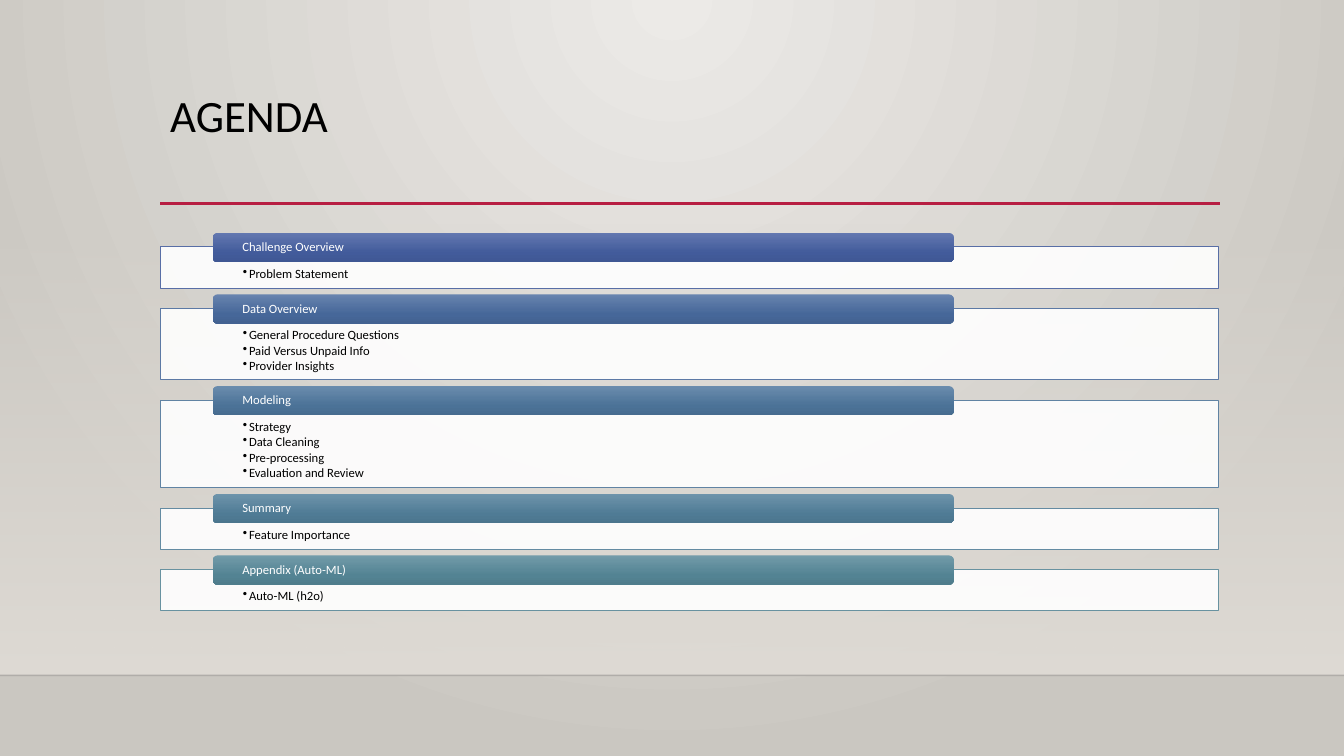
import pptx
import pptx.util
import pptx.dml.color
import pptx.enum.shapes
import pptx.enum.text
import pptx.oxml
import pptx.oxml.ns
from dataclasses import dataclass

Inches = pptx.util.Inches
Pt = pptx.util.Pt
qn = pptx.oxml.ns.qn
Shape = pptx.enum.shapes.MSO_SHAPE
Anchor = pptx.enum.text.MSO_ANCHOR
NS = pptx.oxml.ns.nsdecls("a")


@dataclass(frozen=True)
class Theme:
    font: str = "Calibri"
    title: int = 32
    body: int = 9
    ink: str = "000000"
    white: str = "FFFFFF"
    accent: str = "B71E42"
    edge: str = "000001"
    wall: tuple = ((0, "ECEAE7", 100), (100, "CAC7C1", 100))
    haze: tuple = ((0, "DFDBD5", 0), (100, "DFDBD5", 100))


def rgb(code):
    return pptx.dml.color.RGBColor.from_string(code)


def fade(root, alpha):
    """Make the first solid colour under root partly transparent."""
    color = root.find(".//" + qn("a:solidFill"))[0]
    color.append(pptx.oxml.parse_xml(f'<a:alpha {NS} val="{alpha * 1000}"/>'))


def blend(root, stops, shade='<a:lin ang="5400000" scaled="0"/>'):
    """Swap the solid fill under root for a gradient."""
    marks = "".join(
        f'<a:gs pos="{pos * 1000}"><a:srgbClr val="{code}">'
        f'<a:alpha val="{alpha * 1000}"/></a:srgbClr></a:gs>'
        for pos, code, alpha in stops)
    solid = root.find(qn("a:solidFill"))
    root.replace(solid, pptx.oxml.parse_xml(
        f'<a:gradFill {NS} rotWithShape="1"><a:gsLst>{marks}</a:gsLst>{shade}</a:gradFill>'))


class Deck:
    def __init__(self, theme):
        self.theme = theme
        self.file = pptx.Presentation()
        self.file.slide_width = Inches(13.33)
        self.file.slide_height = Inches(7.5)
        self.slide = self.file.slides.add_slide(self.file.slide_layouts[6])

    def wall(self):
        self.slide.background.fill.solid()
        root = self.slide.element.find(".//" + qn("p:bgPr"))
        blend(root, self.theme.wall,
              '<a:path path="circle"><a:fillToRect l="43000" t="0" r="43000" b="100000"/></a:path>')

    def block(self, kind, left, top, width, height):
        shape = self.slide.shapes.add_shape(
            kind, Inches(left), Inches(top), Inches(width), Inches(height))
        shape.shadow.inherit = False
        shape.fill.solid()
        shape.fill.fore_color.rgb = rgb(self.theme.white)
        shape.line.fill.background()
        return shape

    def haze(self, top, height):
        shape = self.block(Shape.RECTANGLE, 0, top, 13.33, height)
        blend(shape.element.spPr, self.theme.haze)

    def rule(self, left, right, y, color, width, alpha=100):
        line = self.slide.shapes.add_connector(
            pptx.enum.shapes.MSO_CONNECTOR.STRAIGHT,
            Inches(left), Inches(y), Inches(right), Inches(y))
        line.line.color.rgb = rgb(color)
        line.line.width = Pt(width)
        if alpha < 100:
            fade(line.element.spPr, alpha)
        line.element.spPr.append(pptx.oxml.parse_xml(f"<a:effectLst {NS}/>"))

    def label(self, shape, text, size, color, inset, anchor=Anchor.TOP):
        frame = shape.text_frame
        frame.word_wrap = True
        frame.vertical_anchor = anchor
        (frame.margin_left, frame.margin_top,
         frame.margin_right, frame.margin_bottom) = map(Inches, inset)
        frame.text = text
        for para in frame.paragraphs:
            para.alignment = pptx.enum.text.PP_ALIGN.LEFT
            para.line_spacing = 0.9
            for run in para.runs:
                run.font.name = self.theme.font
                run.font.size = Pt(size)
                run.font.color.rgb = rgb(color)
        return frame

    def title(self, text):
        box = self.slide.shapes.add_textbox(
            Inches(1.59), Inches(0.88), Inches(10.5), Inches(1.15))
        self.label(box, text, self.theme.title, self.theme.ink, (0.1, 0.05, 0.1, 0.05))

    def panel(self, top, height, items, edge):
        shape = self.block(Shape.RECTANGLE, 1.59, top, 10.5, height)
        fade(shape.element.spPr, 90)
        shape.line.color.rgb = rgb(edge)
        shape.line.width = Pt(0.75)
        frame = self.label(shape, "\n".join(items), self.theme.body,
                           self.theme.ink, (0.82, 0.2, 0.82, 0.07))
        for para in frame.paragraphs:
            para.space_after = Pt(1.35)
            props = para._p.get_or_add_pPr()
            props.set("marL", str(Inches(0.06)))
            props.set("indent", str(Inches(-0.06)))
            props.append(pptx.oxml.parse_xml(f'<a:buChar {NS} char="•"/>'))

    def bar(self, top, text, colors):
        shape = self.block(Shape.ROUNDED_RECTANGLE, 2.11, top, 7.35, 0.29)
        blend(shape.element.spPr,
              [(pos, code, 100) for pos, code in zip((0, 69, 100), colors)])
        self.label(shape, text, self.theme.body, self.theme.white,
                   (0.28, 0, 0.28, 0), Anchor.MIDDLE)


# Heading, items, panel height, panel edge, bar gradient
AGENDA = [
    ("Challenge Overview", ["Problem Statement"],
     0.41, "586EA6", ("6378B0", "425B9B", "3F5793")),
    ("Data Overview",
     ["General Procedure Questions", "Paid Versus Unpaid Info", "Provider Insights"],
     0.71, "5C79A5", ("6783AE", "466799", "436291")),
    ("Modeling",
     ["Strategy", "Data Cleaning", "Pre-processing", "Evaluation and Review"],
     0.87, "6083A3", ("6A8CAD", "4B7297", "476C8F")),
    ("Summary", ["Feature Importance"],
     0.41, "648BA2", ("6E94AB", "4F7B95", "4B758D")),
    ("Appendix (Auto-ML)", ["Auto-ML (h2o)"],
     0.41, "6892A0", ("729BA9", "538393", "4F7C8B")),
]


def main():
    theme = Theme()
    deck = Deck(theme)

    # Backdrop and title
    deck.wall()
    deck.haze(2.21, 4.49)
    deck.rule(0, 13.33, 6.7, theme.edge, 1, 20)
    deck.rule(1.59, 12.1, 2.02, theme.accent, 2.5)
    deck.title("AGENDA")

    # Agenda sections, stacked with an equal gap
    top = 2.45
    for head, items, height, edge, colors in AGENDA:
        deck.panel(top, height, items, edge)
        deck.bar(top - 0.14, head, colors)
        top += height + 0.2

    deck.file.save("out.pptx")


if __name__ == "__main__":
    main()
